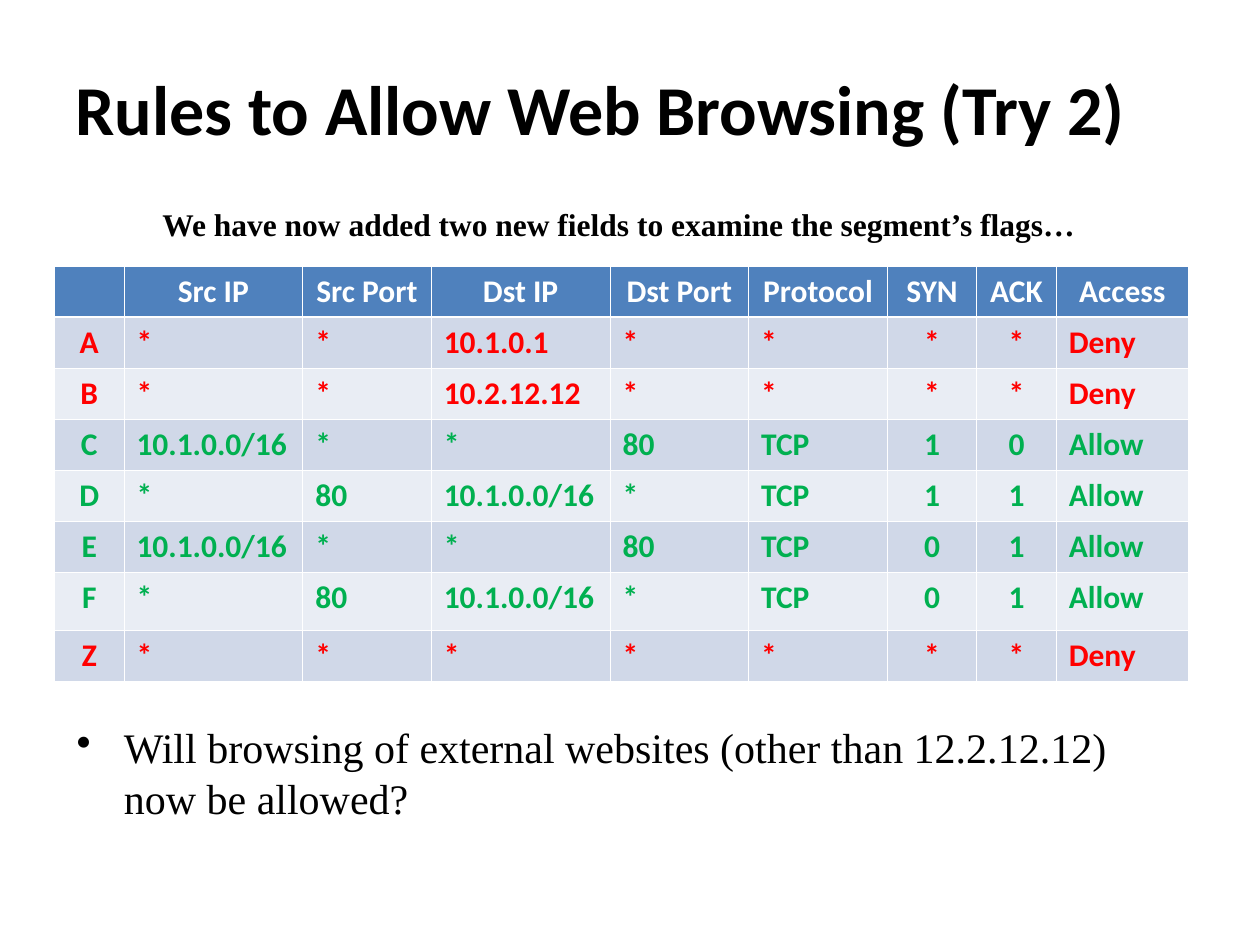
from lxml import etree
from pptx import Presentation
from pptx.dml.color import RGBColor
from pptx.enum.text import MSO_ANCHOR, PP_ALIGN
from pptx.oxml.ns import qn
from pptx.util import Pt

LEFT, CENTER = PP_ALIGN.LEFT, PP_ALIGN.CENTER
TOP, MIDDLE = MSO_ANCHOR.TOP, MSO_ANCHOR.MIDDLE

BLACK = RGBColor(0, 0, 0)
WHITE = RGBColor(0xFF, 0xFF, 0xFF)
HEADER_BLUE = RGBColor(0x4F, 0x81, 0xBD)
BANDS = [RGBColor(0xD0, 0xD8, 0xE8), RGBColor(0xE9, 0xED, 0xF4)]
ACCESS_COLORS = {"Deny": RGBColor(0xFF, 0, 0), "Allow": RGBColor(0, 0xB0, 0x50)}

TITLE = "Rules to Allow Web Browsing (Try 2)"
INTRO = "We have now added two new fields to examine the segment’s flags…"
QUESTION = "Will browsing of external websites (other than 12.2.12.12) now be allowed?"

HEADER = ["", "Src IP", "Src Port", "Dst IP", "Dst Port", "Protocol", "SYN", "ACK", "Access"]
RULES = [
    ["A", "*", "*", "10.1.0.1", "*", "*", "*", "*", "Deny"],
    ["B", "*", "*", "10.2.12.12", "*", "*", "*", "*", "Deny"],
    ["C", "10.1.0.0/16", "*", "*", "80", "TCP", "1", "0", "Allow"],
    ["D", "*", "80", "10.1.0.0/16", "*", "TCP", "1", "1", "Allow"],
    ["E", "10.1.0.0/16", "*", "*", "80", "TCP", "0", "1", "Allow"],
    ["F", "*", "80", "10.1.0.0/16", "*", "TCP", "0", "1", "Allow"],
    ["Z", "*", "*", "*", "*", "*", "*", "*", "Deny"],
]
COLUMN_WIDTHS = [39.6, 102.2, 73.4, 102.2, 79.2, 79.2, 51.2, 45.4, 75.6]
CENTERED_COLUMNS = {"", "SYN", "ACK"}
ROW_HEIGHT, TALL_ROW_HEIGHT = 29.2, 33.2
TALL_RULE = "F"
THIN, THICK = 0.45, 1.5

TABLE_FONT = dict(name="Calibri", size=Pt(18), bold=True)
TITLE_FONT = dict(name="Calibri", size=Pt(40), bold=True)
INTRO_FONT = dict(name="Times New Roman", size=Pt(18), bold=True)
QUESTION_FONT = dict(name="Times New Roman", size=Pt(24), bold=False)


def format_font(font, values, color):
    for attribute, value in values.items():
        setattr(font, attribute, value)
    font.color.rgb = color


def add_text(slide, text, box, font_values, anchor=TOP, bullet=None):
    frame = slide.shapes.add_textbox(*map(Pt, box)).text_frame
    frame.word_wrap = True
    frame.vertical_anchor = anchor
    paragraph = frame.paragraphs[0]
    if bullet:
        properties = paragraph._p.get_or_add_pPr()
        properties.set("marL", str(Pt(27)))
        properties.set("indent", str(Pt(-27)))
        etree.SubElement(properties, qn("a:buChar"), char=bullet)
    run = paragraph.add_run()
    run.text = text
    format_font(run.font, font_values, BLACK)


def add_borders(cell, top, bottom):
    properties = cell._tc.get_or_add_tcPr()
    for side, width in {"L": THIN, "R": THIN, "T": top, "B": bottom}.items():
        line = etree.SubElement(properties, qn(f"a:ln{side}"), w=str(Pt(width)))
        fill = etree.SubElement(line, qn("a:solidFill"))
        etree.SubElement(fill, qn("a:srgbClr"), val=str(WHITE))


def add_rules(slide, left, top):
    heights = [TALL_ROW_HEIGHT if row[0] == TALL_RULE else ROW_HEIGHT for row in [HEADER] + RULES]
    table = slide.shapes.add_table(
        len(heights), len(HEADER), Pt(left), Pt(top), Pt(sum(COLUMN_WIDTHS)), Pt(sum(heights))
    ).table
    for column, width in zip(table.columns, COLUMN_WIDTHS):
        column.width = Pt(width)
    for r, values in enumerate([HEADER] + RULES):
        table.rows[r].height = Pt(heights[r])
        is_header = r == 0
        fill = HEADER_BLUE if is_header else BANDS[(r - 1) % 2]
        color = WHITE if is_header else ACCESS_COLORS[values[-1]]
        for c, value in enumerate(values):
            cell = table.cell(r, c)
            add_borders(cell, THICK if r == 1 else THIN, THICK if is_header else THIN)
            cell.fill.solid()
            cell.fill.fore_color.rgb = fill
            cell.text = value
            paragraph = cell.text_frame.paragraphs[0]
            paragraph.alignment = CENTER if is_header or HEADER[c] in CENTERED_COLUMNS else LEFT
            for run in paragraph.runs:
                format_font(run.font, TABLE_FONT, color)


def main():
    deck = Presentation()
    deck.slide_width, deck.slide_height = Pt(720), Pt(540)
    slide = deck.slides.add_slide(deck.slide_layouts[6])
    add_text(slide, TITLE, (36, 22.3, 648, 78.5), TITLE_FONT, anchor=MIDDLE)
    add_rules(slide, 31.2, 152)
    add_text(slide, QUESTION, (36.7, 409, 648, 65), QUESTION_FONT, bullet="•")
    add_text(slide, INTRO, (85.7, 113.8, 558, 29), INTRO_FONT)
    deck.save("out.pptx")


if __name__ == "__main__":
    main()
